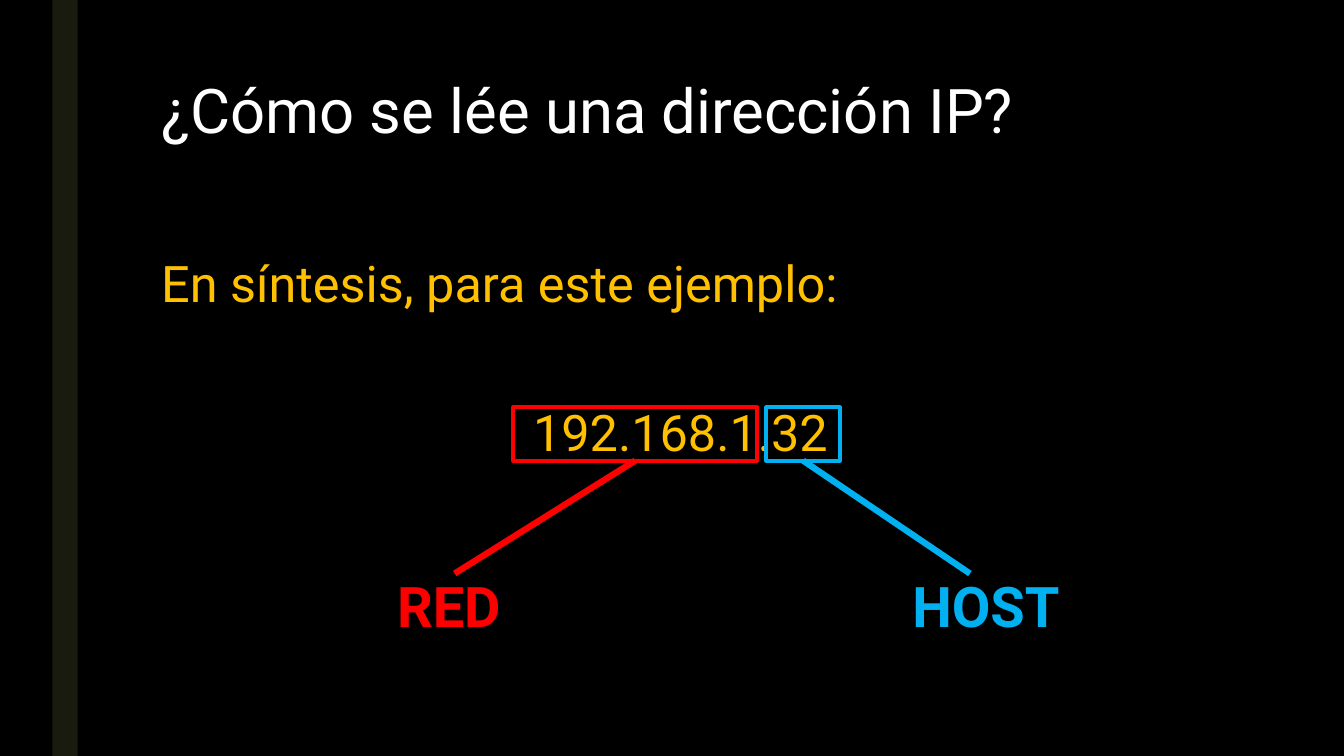
from dataclasses import dataclass

from lxml import etree
from pptx import Presentation
from pptx.dml.color import RGBColor
from pptx.enum.shapes import MSO_CONNECTOR as CONN, MSO_SHAPE as SHAPE
from pptx.enum.text import MSO_ANCHOR, PP_ALIGN as ALIGN
from pptx.oxml.ns import qn
from pptx.util import Inches, Pt

BLACK = RGBColor(0x00, 0x00, 0x00)
WHITE = RGBColor(0xFF, 0xFF, 0xFF)
OLIVE = RGBColor(0x19, 0x1B, 0x0E)
GOLD = RGBColor(0xFF, 0xC0, 0x00)
RED = RGBColor(0xFF, 0x00, 0x00)
BLUE = RGBColor(0x00, 0xB0, 0xF0)
FONT = "Roboto"

FRAME_TOP, FRAME_HEIGHT = 4.04, 0.53
LEADER_END = 5.69
LABEL_TOP, LABEL_HEIGHT = 5.62, 0.77
BOTTOM = 2


@dataclass
class AddressPart:
    name: str
    color: RGBColor
    frame_left: float
    frame_width: float
    leader_x: float
    label_left: float
    label_width: float


PARTS = [
    AddressPart("RED", RED, 5.09, 2.42, 4.51, 3.84, 1.56),
    AddressPart("HOST", BLUE, 7.6, 0.73, 9.62, 8.95, 2.27),
]


def add_text_box(slide, left: float, top: float, width: float, height: float):
    tf = slide.shapes.add_textbox(
        Inches(left), Inches(top), Inches(width), Inches(height)).text_frame
    tf.word_wrap = True
    tf.vertical_anchor = MSO_ANCHOR.TOP
    return tf


def write(p, text: str, *, size: float, color: RGBColor, bold: bool = False,
          align=ALIGN.LEFT, spacing: float = 1.0, before: float = 0,
          after: float = 0) -> None:
    p.alignment = align
    p.line_spacing = spacing
    p.space_before, p.space_after = Pt(before), Pt(after)
    r = p.add_run()
    r.text = text
    r.font.name, r.font.size, r.font.bold = FONT, Pt(size), bold
    r.font.color.rgb = color


def add_rect(slide, left: float, top: float, width: float, height: float):
    sp = slide.shapes.add_shape(
        SHAPE.RECTANGLE, Inches(left), Inches(top), Inches(width), Inches(height))
    sp.shadow.inherit = False
    return sp


def add_part(slide, part: AddressPart) -> None:
    # Frame around the digits
    frame = add_rect(slide, part.frame_left, FRAME_TOP, part.frame_width, FRAME_HEIGHT)
    frame.fill.background()
    frame.line.color.rgb = part.color
    frame.line.width = Pt(2.75)

    # Leader from the frame to its label
    leader = slide.shapes.add_connector(
        CONN.STRAIGHT, Inches(part.frame_left + part.frame_width / 2),
        Inches(FRAME_TOP + FRAME_HEIGHT), Inches(part.leader_x), Inches(LEADER_END))
    leader.begin_connect(frame, BOTTOM)
    leader.line.color.rgb = part.color
    leader.line.width = Pt(4.5)
    etree.SubElement(leader._element.spPr, qn("a:effectLst"))

    # Label
    tf = add_text_box(slide, part.label_left, LABEL_TOP, part.label_width, LABEL_HEIGHT)
    write(tf.paragraphs[0], part.name, size=40, color=part.color, bold=True)


def main() -> None:
    prs = Presentation()
    prs.slide_width, prs.slide_height = Inches(13.33), Inches(7.5)
    slide = prs.slides.add_slide(prs.slide_layouts[6])

    # Background and side band
    slide.background.fill.solid()
    slide.background.fill.fore_color.rgb = BLACK
    band = add_rect(slide, 0.52, 0, 0.25, 7.5)
    band.fill.solid()
    band.fill.fore_color.rgb = OLIVE
    band.line.fill.background()

    # Title
    tf = add_text_box(slide, 1.5, 0.75, 10.5, 1.2)
    write(tf.paragraphs[0], "¿Cómo se lée una dirección IP?", size=44,
          color=WHITE, spacing=0.89)

    # Introduction and address
    tf = add_text_box(slide, 1.5, 2.5, 10.5, 3.92)
    write(tf.paragraphs[0], "En síntesis, para este ejemplo:", size=36,
          color=GOLD, spacing=0.94, after=2)
    write(tf.add_paragraph(), "192.168.1.32", size=36, color=GOLD,
          align=ALIGN.CENTER, spacing=0.94, before=64, after=2)

    # Network and host parts
    for part in PARTS:
        add_part(slide, part)

    prs.save("out.pptx")


if __name__ == "__main__":
    main()
